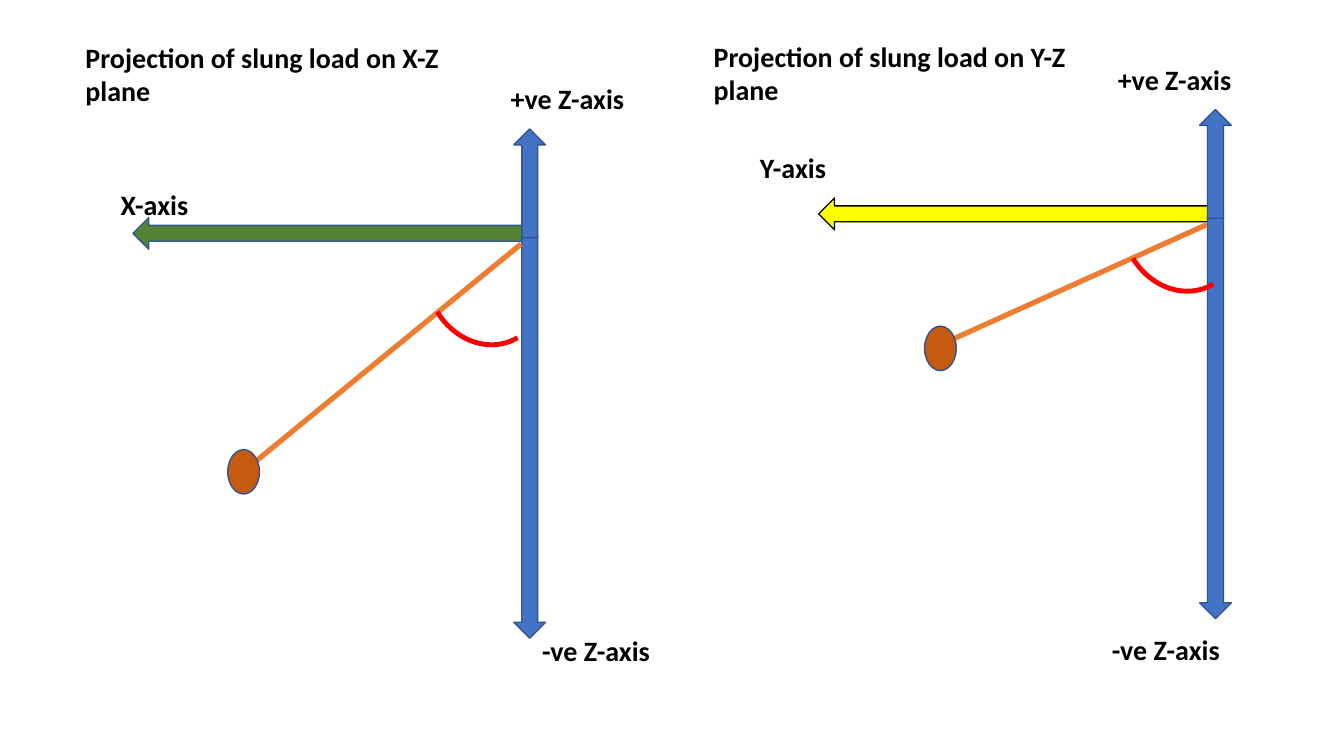
from dataclasses import dataclass
from lxml.etree import SubElement
from pptx import Presentation
from pptx.dml.color import RGBColor
from pptx.enum.shapes import MSO_CONNECTOR, MSO_SHAPE
from pptx.enum.text import MSO_ANCHOR, MSO_AUTO_SIZE
from pptx.oxml.ns import qn
from pptx.util import Cm, Pt


@dataclass(frozen=True)
class Theme:
    """Colours, font and sizes shared by both projections."""
    font: str = "Calibri"
    text_size: float = 20
    text: str = "000000"
    z_axis: str = "4472C4"
    outline: str = "325491"
    x_axis: str = "548235"
    y_axis: str = "FFFF00"
    y_outline: str = "000000"
    cable: str = "ED7D31"
    load: str = "C55A11"
    angle: str = "FF0000"


@dataclass(frozen=True)
class Projection:
    """One plane: its box corner, and offsets in cm; parts are measured from the pivot."""
    corner: tuple
    pivot: tuple
    caption: str
    axis_name: str
    axis_fill: str
    axis_outline: str
    axis_label: tuple
    up_label: tuple
    down_label: tuple
    cable_end: tuple
    load: tuple
    angle: tuple


THEME = Theme()
ARROW_WIDTH = 0.8
AXIS_LENGTH = 10.16
PROJECTIONS = [
    Projection((1.9, 0.89), (11.05, 5.03), "Projection of slung load on X-Z plane",
               "X-axis", THEME.x_axis, THEME.outline, (-10.16, -1.32), (-0.33, -3.98),
               (0.46, 9.91), (-6.83, 5.97), (-7.21, 5.41), (-2.13, -0.38)),
    Projection((17.73, 0.86), (12.5, 4.57), "Projection of slung load on Y-Z plane",
               "Y-axis", THEME.y_axis, THEME.y_outline, (-11.33, -1.75), (-2.31, -3.98),
               (-2.46, 10.39), (-6.96, 3.45), (-6.93, 2.79), (-1.88, -1.24)),
]


def shift(point, offset):
    """Return the point moved by an offset."""
    return point[0] + offset[0], point[1] + offset[1]


def write(box, words):
    """Fill a text holder with one bold run."""
    frame = box.text_frame
    frame.word_wrap = True
    frame.auto_size = MSO_AUTO_SIZE.NONE
    frame.vertical_anchor = MSO_ANCHOR.TOP
    paragraph = frame.paragraphs[0]
    paragraph.space_before = Pt(0)
    run = paragraph.add_run()
    run.text = words
    run.font.name = THEME.font
    run.font.size = Pt(THEME.text_size)
    run.font.bold = True
    run.font.color.rgb = RGBColor.from_string(THEME.text)


def add_label(slide, corner, words, width=4.65):
    """Add an axis label."""
    left, top = corner
    write(slide.shapes.add_textbox(Cm(left), Cm(top), Cm(width), Cm(1.12)), words)


def add_part(slide, preset, corner, size, fill, outline, weight=1, turn=0):
    """Add a preset shape, unfilled when fill is None."""
    part = slide.shapes.add_shape(preset, *map(Cm, corner + size))
    part.shadow.inherit = False
    part.rotation = turn
    if fill:
        part.fill.solid()
        part.fill.fore_color.rgb = RGBColor.from_string(fill)
    else:
        part.fill.background()
    part.line.color.rgb = RGBColor.from_string(outline)
    part.line.width = Pt(weight)


def add_cable(slide, start, end):
    """Add the cable, pointing at the load."""
    cable = slide.shapes.add_connector(MSO_CONNECTOR.STRAIGHT, *map(Cm, start + end))
    cable.line.color.rgb = RGBColor.from_string(THEME.cable)
    cable.line.width = Pt(3.75)
    SubElement(cable.line._get_or_add_ln(), qn("a:tailEnd"), type="triangle")
    SubElement(cable._element.spPr, qn("a:effectLst"))


def add_projection(slide, caption, plane):
    """Draw one plane of the slung load inside its box."""
    pivot = shift(plane.corner, plane.pivot)
    caption.left, caption.top = map(Cm, plane.corner)
    caption.width, caption.height = Cm(9.47), Cm(1.96)
    write(caption, plane.caption)

    arrow = MSO_SHAPE.DOWN_ARROW
    add_part(slide, arrow, shift(pivot, (-4.92, -5.12)), (ARROW_WIDTH, AXIS_LENGTH),
             plane.axis_fill, plane.axis_outline, turn=90)
    add_part(slide, arrow, pivot, (ARROW_WIDTH, AXIS_LENGTH), THEME.z_axis, THEME.outline)
    add_part(slide, arrow, shift(pivot, (0, -2.67)), (ARROW_WIDTH, 2.74),
             THEME.z_axis, THEME.outline, turn=180)

    add_label(slide, shift(pivot, plane.axis_label), plane.axis_name, 2.46)
    add_label(slide, shift(pivot, plane.up_label), "+ve Z-axis")
    add_label(slide, shift(pivot, plane.down_label), "-ve Z-axis")

    add_cable(slide, shift(pivot, (0.18, 0.23)), shift(pivot, plane.cable_end))
    add_part(slide, MSO_SHAPE.FLOWCHART_CONNECTOR, shift(pivot, plane.load),
             (0.8, 1.12), THEME.load, THEME.outline)
    add_part(slide, MSO_SHAPE.ARC, shift(pivot, plane.angle), (2.79, 3.2),
             None, THEME.angle, 3.5, 148.9)


def main():
    """Build the slide with its two projections."""
    deck = Presentation()
    deck.slide_width, deck.slide_height = Cm(33.87), Cm(19.05)
    comparison = deck.slide_layouts.get_by_name("Comparison")
    slide = deck.slides.add_slide(comparison)
    captions = [slide.placeholders[1], slide.placeholders[3]]
    for index in (0, 2, 4):
        unused = slide.placeholders[index].element
        unused.getparent().remove(unused)
    for caption, plane in zip(captions, PROJECTIONS):
        add_projection(slide, caption, plane)
    deck.save("out.pptx")


if __name__ == "__main__":
    main()
